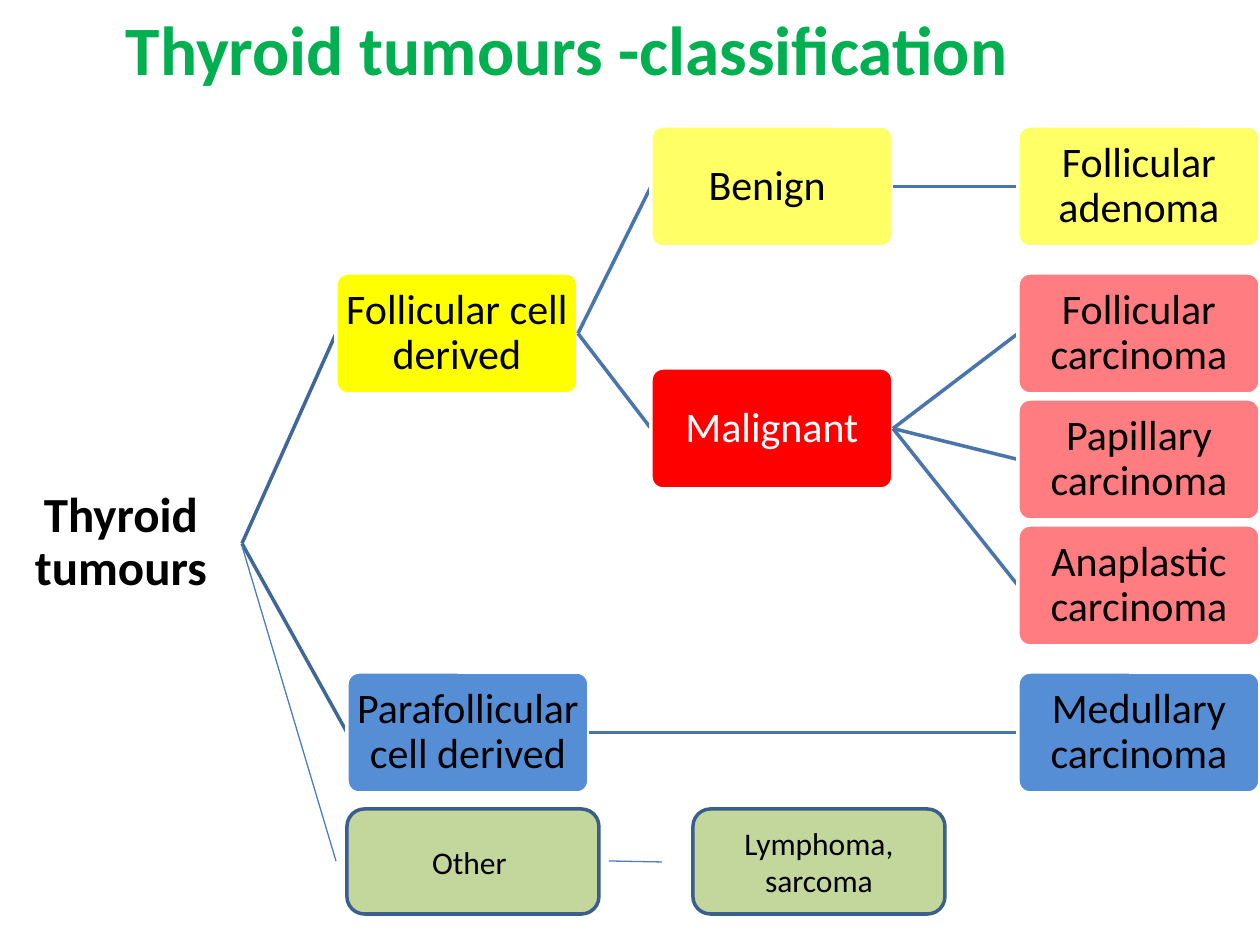
from lxml.etree import SubElement
from pptx import Presentation
from pptx.dml.color import RGBColor
from pptx.enum.shapes import MSO_CONNECTOR, MSO_SHAPE
from pptx.enum.text import MSO_ANCHOR, PP_ALIGN
from pptx.oxml.ns import qn
from pptx.util import Pt

PX = 914400 / 126
FONT = "Calibri"
COLOURS = {
    "title": "00B050", "black": "000000", "white": "FFFFFF",
    "yellow": "FFFF00", "pale yellow": "FFFF66", "red": "FF0000",
    "pink": "FF7C80", "blue": "558ED5", "green": "C3D69B",
    "green border": "3A5F8C", "root branch": "3F6797",
    "branch": "4875AC", "thin": "4B7EBC",
}
TITLE = "Thyroid tumours -classification"
ROOT = "Thyroid tumours"
NODE_SIZE = (242, 121)
# (text, parent, left, top, fill), each parent ahead of its children
NODES = [
    (ROOT, None, 0, 483, "white"),
    ("Follicular cell derived", ROOT, 336, 273, "yellow"),
    ("Benign ", "Follicular cell derived", 651, 126, "pale yellow"),
    ("Follicular adenoma", "Benign ", 1018, 126, "pale yellow"),
    ("Malignant", "Follicular cell derived", 651, 368, "red"),
    ("Follicular carcinoma", "Malignant", 1018, 273, "pink"),
    ("Papillary carcinoma", "Malignant", 1018, 399, "pink"),
    ("Anaplastic carcinoma", "Malignant", 1018, 525, "pink"),
    ("Parafollicular cell derived", ROOT, 347, 672, "blue"),
    ("Medullary carcinoma", "Parafollicular cell derived", 1018, 672, "blue"),
]
OTHER_SIZE = (252, 105)
OTHER_BOXES = [(["Other "], 347, 809), (["Lymphoma,", "sarcoma"], 693, 809)]
OTHER_LINES = [((242, 546), (336, 861)), ((609, 861), (662, 862))]


def px(value):
    return round(value * PX)


def colour(name):
    return RGBColor.from_string(COLOURS[name])


def add_text(para, text, size, colour_name, bold=False):
    para.alignment = PP_ALIGN.CENTER
    span = para.add_run()
    span.text = text
    span.font.name = FONT
    span.font.size = Pt(size)
    span.font.bold = bold
    span.font.color.rgb = colour(colour_name)


def add_line(page, start, end, colour_name, width):
    line = page.shapes.add_connector(
        MSO_CONNECTOR.STRAIGHT, *map(px, (*start, *end)))
    line.line.color.rgb = colour(colour_name)
    line.line.width = Pt(width)
    SubElement(line._element.spPr, qn("a:effectLst"))


def add_box(page, left, top, size, fill, border):
    box = page.shapes.add_shape(
        MSO_SHAPE.ROUNDED_RECTANGLE, *map(px, (left, top, *size)))
    box.shadow.inherit = False
    box.fill.solid()
    box.fill.fore_color.rgb = colour(fill)
    box.line.color.rgb = colour(border)
    box.line.width = Pt(2)
    box.text_frame.word_wrap = True
    box.text_frame.vertical_anchor = MSO_ANCHOR.MIDDLE
    return box


def add_node(page, text, left, top, fill):
    box = add_box(page, left, top, NODE_SIZE, fill, "white")
    box.adjustments[0] = 0.1
    frame = box.text_frame
    frame.margin_left = frame.margin_right = px(2)
    frame.margin_top = frame.margin_bottom = px(2)
    para = frame.paragraphs[0]
    para.line_spacing = 0.9
    is_root = text == ROOT
    add_text(para, text, 28 if is_root else 24,
             "white" if fill == "red" else "black", is_root)


def add_tree(page):
    width, height = NODE_SIZE
    places = {text: (left, top + height / 2)
              for text, _, left, top, _ in NODES}
    for text, parent, left, top, fill in NODES:
        if parent:
            parent_left, parent_middle = places[parent]
            add_line(page, (parent_left + width, parent_middle), places[text],
                     "root branch" if parent == ROOT else "branch", 2)
        add_node(page, text, left, top, fill)


def add_other(page):
    for lines, left, top in OTHER_BOXES:
        frame = add_box(page, left, top, OTHER_SIZE,
                        "green", "green border").text_frame
        for index, text in enumerate(lines):
            para = frame.add_paragraph() if index else frame.paragraphs[0]
            add_text(para, text, 18, "black")
    for start, end in OTHER_LINES:
        add_line(page, start, end, "thin", 0.75)


def main():
    deck = Presentation()
    deck.slide_width, deck.slide_height = px(1260), px(945)
    page = deck.slides.add_slide(deck.slide_layouts[5])
    title = page.shapes.title
    title.left, title.top, title.width, title.height = map(
        px, (0, 0, 1134, 95))
    title.text_frame.vertical_anchor = MSO_ANCHOR.MIDDLE
    add_text(title.text_frame.paragraphs[0], TITLE, 39.6, "title", True)
    add_tree(page)
    add_other(page)
    deck.save("out.pptx")


if __name__ == "__main__":
    main()
